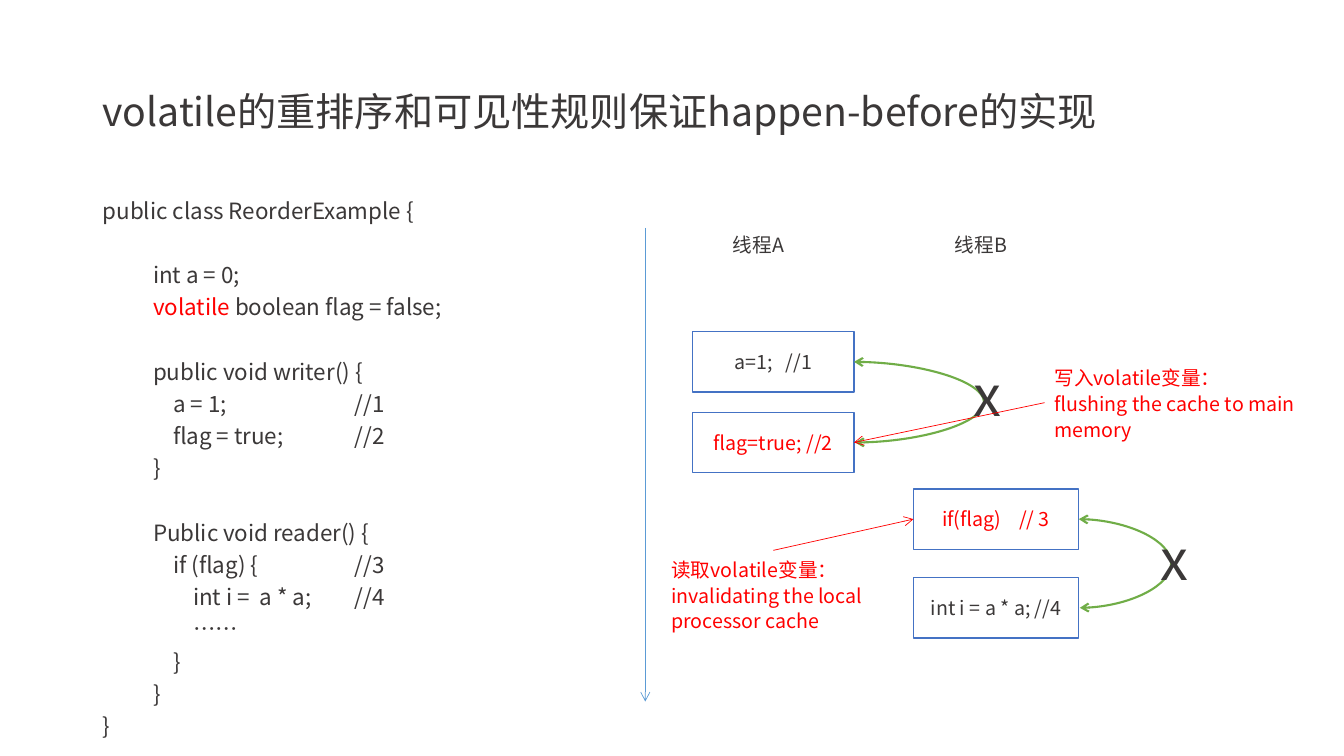
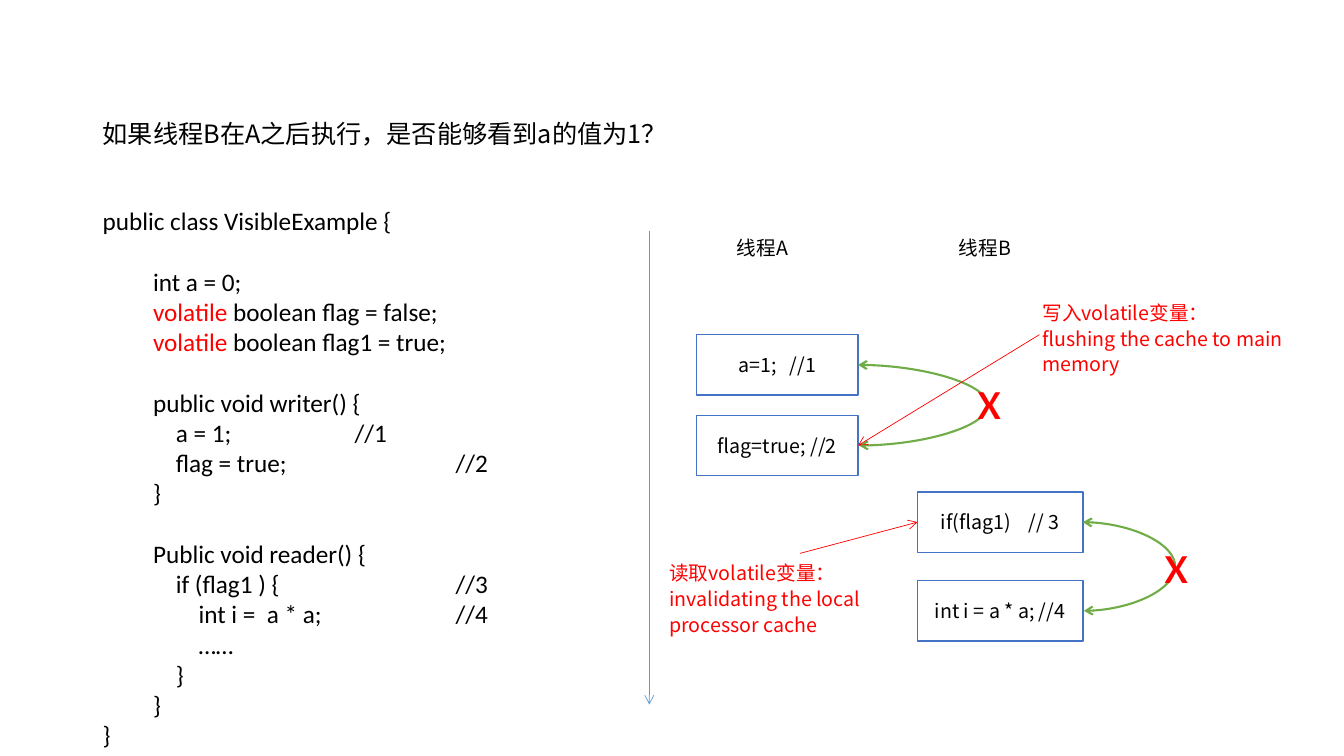
from dataclasses import dataclass

from lxml import etree
from pptx import Presentation
from pptx.dml.color import RGBColor
from pptx.enum.shapes import MSO_CONNECTOR, MSO_SHAPE
from pptx.enum.text import MSO_ANCHOR, PP_ALIGN
from pptx.oxml.ns import qn
from pptx.util import Inches, Pt

LINE, CURVE = MSO_CONNECTOR.STRAIGHT, MSO_CONNECTOR.CURVE
RECT = MSO_SHAPE.RECTANGLE
TOP, MIDDLE = MSO_ANCHOR.TOP, MSO_ANCHOR.MIDDLE
LEFT, CENTER = PP_ALIGN.LEFT, PP_ALIGN.CENTER
NORTH, WEST, SOUTH, EAST = 0, 1, 2, 3
SIDES = {NORTH: (0.5, 0), WEST: (0, 0.5), SOUTH: (0.5, 1), EAST: (1, 0.5)}


@dataclass(frozen=True)
class Theme:
    sans: str = "Noto Sans CJK SC"
    plain: str = "Calibri"
    dark: str = "3B3838"
    black: str = "000000"
    red: str = "FF0000"
    white: str = "FFFFFF"
    edge: str = "4472C4"
    axis: str = "5B9BD5"
    green: str = "70AD47"
    title: int = 28
    query: int = 18
    small: int = 16
    large: int = 18
    label: int = 14
    cross: int = 40
    thin: float = 0.5
    frame: float = 1
    thick: float = 1.5


T = Theme()

WRITER = """public class ReorderExample {

\tint a = 0;
\tvolatile boolean flag = false;

\tpublic void writer() {
\t    a = 1;\t//1
\t    flag = true;\t//2
\t}

\tPublic void reader() {
\t    if (flag) {\t//3
\t        int i =  a * a;\t//4
\t        ……
\t    }
\t}
}"""

VISIBLE = """public class VisibleExample {

\tint a = 0;
\tvolatile boolean flag = false;
\tvolatile boolean flag1 = true;

\tpublic void writer() {
\t    a = 1;\t//1
\t    flag = true;\t//2
\t}

\tPublic void reader() {
\t    if (flag1 ) {\t//3
\t        int i =  a * a;\t//4
\t        ……
\t    }
\t}
}"""


def rgb(tone):
    return RGBColor.from_string(tone)


def style(para, size, tone, face=T.sans):
    font = para.font
    font.size = Pt(size)
    font.name = face
    font.color.rgb = rgb(tone)
    props = para._p.get_or_add_pPr().find(qn("a:defRPr"))
    etree.SubElement(props, qn("a:ea")).set("typeface", face)


def fill(shape, lines, size, tone, face=T.sans, space=None,
         anchor=TOP, align=LEFT):
    frame = shape.text_frame
    frame.word_wrap = True
    frame.vertical_anchor = anchor
    for num, line in enumerate(lines):
        para = frame.add_paragraph() if num else frame.paragraphs[0]
        para.add_run().text = line
        para.alignment = align
        if space:
            para.line_spacing = space
        style(para, size, tone, face)


def text(slide, box, lines, size, tone, **more):
    shape = slide.shapes.add_textbox(*map(Inches, box))
    fill(shape, lines, size, tone, **more)
    return shape


def code(slide, box, source, size, tone, face, gap, far, space=None):
    frame = slide.shapes.add_textbox(*map(Inches, box)).text_frame
    frame.word_wrap = True
    para, blank = frame.paragraphs[0], False
    for num, line in enumerate(source.split("\n")):
        if not line:
            blank = True
            continue
        if num:
            para = frame.add_paragraph()
        if line.startswith("\t"):
            props = para._p.get_or_add_pPr()
            tabs = etree.SubElement(props, qn("a:tabLst"))
            for stop in (0.5, 2.5 if line.endswith("//1") else far):
                etree.SubElement(tabs, qn("a:tab"),
                                 pos=str(Inches(stop)), algn="l")
        if blank:
            para.space_before = Pt(gap)
            blank = False
        if space:
            para.line_spacing = space
        style(para, size, tone, face)
        word = "\tvolatile "
        if line.startswith(word):
            run = para.add_run()
            run.text = word
            run.font.color.rgb = rgb(T.red)
            line = line[len(word):]
        para.add_run().text = line


def spot(end):
    if isinstance(end[0], (int, float)):
        return [Inches(num) for num in end]
    shape, side = end
    across, down = SIDES[side]
    return [int(shape.left + shape.width * across),
            int(shape.top + shape.height * down)]


def link(slide, kind, start, end, tone, width, both=False):
    line = slide.shapes.add_connector(kind, *spot(start), *spot(end))
    if not isinstance(start[0], (int, float)):
        line.begin_connect(*start)
    if not isinstance(end[0], (int, float)):
        line.end_connect(*end)
    line.line.color.rgb = rgb(tone)
    line.line.width = Pt(width)
    stroke = line.line._get_or_add_ln()
    for tip in ("a:headEnd", "a:tailEnd") if both else ("a:tailEnd",):
        etree.SubElement(stroke, qn(tip), type="arrow")
    etree.SubElement(line._element.spPr, qn("a:effectLst"))
    return line


def arc(slide, upper, lower, reach):
    line = link(slide, CURVE, (upper, EAST), (lower, EAST),
                T.green, T.thick, both=True)
    span = 0.01
    line.width = Inches(span)
    geom = line._element.spPr.find(qn("a:prstGeom"))
    guides = geom.find(qn("a:avLst"))
    if guides is None:
        guides = etree.SubElement(geom, qn("a:avLst"))
    etree.SubElement(guides, qn("a:gd"), name="adj1",
                     fmla=f"val {round(reach / span * 100000)}")


def step(slide, box, words, tone):
    shape = slide.shapes.add_shape(RECT, *map(Inches, box))
    shape.shadow.inherit = False
    shape.fill.solid()
    shape.fill.fore_color.rgb = rgb(T.white)
    shape.line.color.rgb = rgb(T.edge)
    shape.line.width = Pt(T.frame)
    fill(shape, [words], T.label, tone, anchor=MIDDLE, align=CENTER)
    return shape


def threads(slide, x, y, test, tone, hot, cross, face):
    link(slide, LINE, (x, y), (x, y + 4.7), T.axis, T.thin)
    parts = (
        (0.47, 1.03, 1.6, "a=1;   //1", tone),
        (0.47, 1.83, 1.6, "flag=true; //2", hot),
        (2.66, 2.59, 1.64, test, hot),
        (2.66, 3.47, 1.64, "int i = a * a; //4", tone),
    )
    store, flag, check, load = [
        step(slide, (x + dx, y + dy, wide, 0.6), words, shade)
        for dx, dy, wide, words, shade in parts]
    for dx, name in ((0.77, "线程A"), (2.97, "线程B")):
        text(slide, (x + dx, y, 0.72, 0.35), [name], T.label, tone)
    arc(slide, store, flag, 1.31)
    arc(slide, check, load, 0.93)
    for dx, dy in ((3.16, 1.27), (5.01, 2.89)):
        text(slide, (x + dx, y + dy, 0.32, 0.77), ["x"],
             T.cross, cross, face=face)
    return flag, check


def note(slide, box, lines, goal, side, start=None):
    shape = text(slide, box, lines, T.label, T.red, space=1.1)
    link(slide, LINE, start or (shape, side), goal, T.red, T.thin)


def notes(slide, flush, drop, flag, check, start=None):
    note(slide, flush,
         ["写入volatile变量：", "flushing the cache to main memory"],
         (flag, EAST), WEST, start)
    note(slide, drop,
         ["读取volatile变量：", "invalidating the local processor cache"],
         (check, WEST), NORTH)


def order(slide):
    text(slide, (0.92, 0.4, 11.5, 1.45),
         ["volatile的重排序和可见性规则保证happen-before的实现"],
         T.title, T.dark, space=0.9, anchor=MIDDLE)
    code(slide, (0.92, 1.85, 5.05, 5.53), WRITER, T.small, T.dark, T.sans,
         gap=23, far=2.5, space=1.2)
    flag, check = threads(slide, 6.4, 2.26, "if(flag)    // 3",
                          T.dark, T.red, T.dark, T.sans)
    notes(slide, (10.36, 3.56, 2.79, 0.87), (6.56, 5.46, 2.22, 0.87),
          flag, check)


def sight(slide):
    code(slide, (0.92, 1.99, 4.36, 5.5), VISIBLE, T.large, T.black, T.plain,
         gap=21.6, far=3.5)
    flag, check = threads(slide, 6.44, 2.29, "if(flag1)    // 3",
                          T.black, T.black, T.red, T.plain)
    notes(slide, (10.24, 2.91, 2.79, 0.87), (6.54, 5.49, 2.79, 0.87),
          flag, check, start=(10.31, 3.32))
    text(slide, (0.92, 1.12, 5.82, 0.42),
         ["如果线程B在A之后执行，是否能够看到a的值为1？"],
         T.query, T.black)


def main():
    deck = Presentation()
    deck.slide_width, deck.slide_height = Inches(13.33), Inches(7.5)
    for build in (order, sight):
        build(deck.slides.add_slide(deck.slide_layouts[6]))
    deck.save("out.pptx")


if __name__ == "__main__":
    main()
